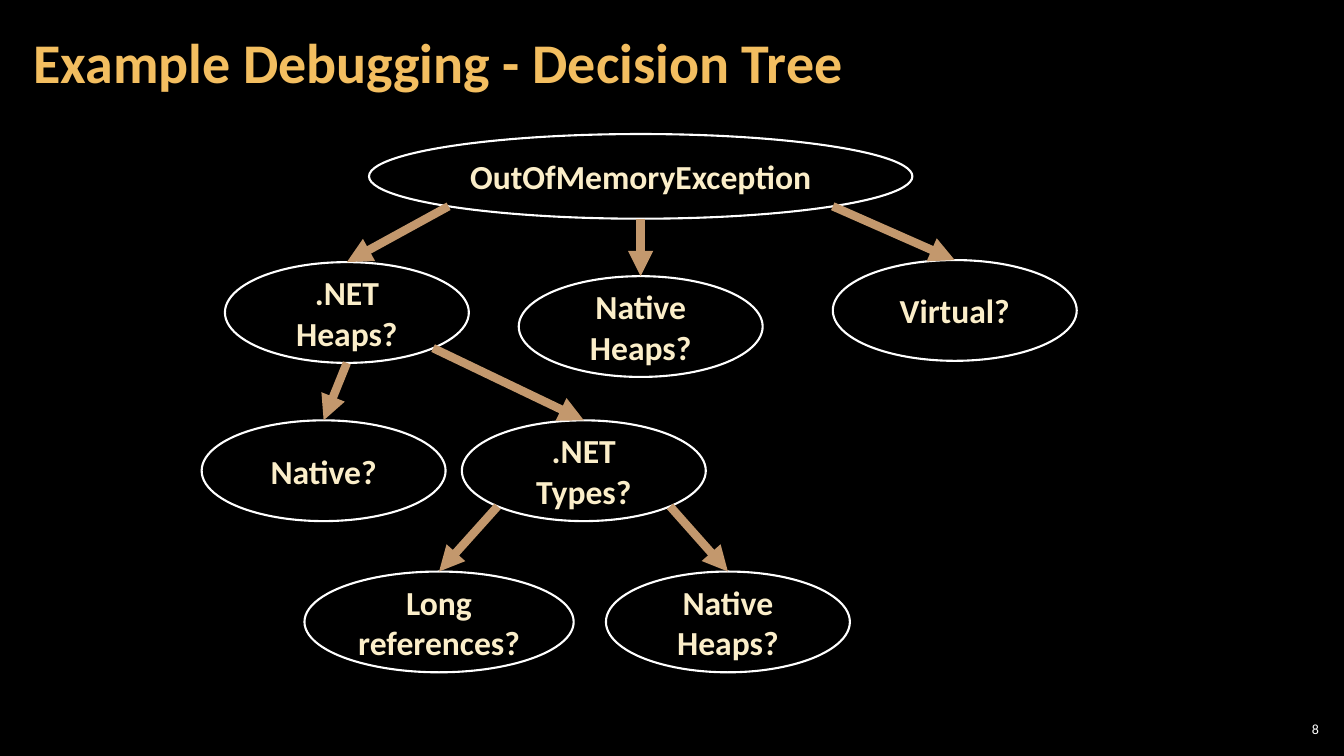
import math
import pptx
import pptx.util
import pptx.dml.color
import pptx.enum.shapes
import pptx.enum.text
import pptx.oxml
import pptx.oxml.ns

BLACK = pptx.dml.color.RGBColor(0x00, 0x00, 0x00)
WHITE = pptx.dml.color.RGBColor(0xFF, 0xFF, 0xFF)
GOLD = pptx.dml.color.RGBColor(0xF3, 0xBE, 0x60)
CREAM = pptx.dml.color.RGBColor(0xFB, 0xEE, 0xC9)
TAN = pptx.dml.color.RGBColor(0xC3, 0x98, 0x6D)
ALIGN = pptx.enum.text.PP_ALIGN

deck = pptx.Presentation()
deck.slide_width = pptx.util.Inches(13.33)
deck.slide_height = pptx.util.Inches(7.5)
across = deck.slide_width / 100
down = deck.slide_height / 100
page = deck.slides.add_slide(deck.slide_layouts[6])
page.background.fill.solid()
page.background.fill.fore_color.rgb = BLACK


def write(shape, text, size, color, bold, align):
    frame = shape.text_frame
    frame.text = text
    frame.word_wrap = True
    frame.vertical_anchor = pptx.enum.text.MSO_ANCHOR.MIDDLE
    para = frame.paragraphs[0]
    para.alignment = align
    font = para.runs[0].font
    font.name = "Calibri"
    font.size = pptx.util.Pt(size)
    font.bold = bold
    font.color.rgb = color


labels = [
    ("8", (94.9, 95.2, 3.53, 2.8), 0.3, 10, WHITE, False, ALIGN.RIGHT),
    ("Example Debugging - Decision Tree", (1.58, 0.53, 78.54, 16.13), 0.9, 40, GOLD, True, ALIGN.LEFT),
]
for text, (left, top, width, height), inset, size, color, bold, align in labels:
    box = page.shapes.add_textbox(
        round(left * across), round(top * down), round(width * across), round(height * down))
    write(box, text, size, color, bold, align)
    frame = box.text_frame
    frame.margin_left = frame.margin_right = round(inset * across)
    frame.margin_top = frame.margin_bottom = round(0.53 * down)
    frame.paragraphs[0].line_spacing = 0.9

NODE_WIDTH, NODE_HEIGHT = 18.15, 13.33
TYPES_ROW, DETAILS_ROW = 55.6, 75.6
nodes = {
    "exception": ("OutOfMemoryException", 47.67, 17.73, 40.43, 11.2),
    "native heaps": ("Native Heaps?", 47.67, 36.53, NODE_WIDTH, NODE_HEIGHT),
    "virtual": ("Virtual?", 71.04, 34.4, NODE_WIDTH, NODE_HEIGHT),
    "net heaps": (".NET Heaps?", 25.81, 34.67, NODE_WIDTH, NODE_HEIGHT),
    "net types": (".NET Types?", 43.44, TYPES_ROW, NODE_WIDTH, NODE_HEIGHT),
    "native": ("Native?", 24.08, TYPES_ROW, NODE_WIDTH, NODE_HEIGHT),
    "type heaps": ("Native Heaps?", 54.16, DETAILS_ROW, NODE_WIDTH, NODE_HEIGHT),
    "references": ("Long references?", 32.67, DETAILS_ROW, 20.03, NODE_HEIGHT),
}
for text, center, top, width, height in nodes.values():
    ellipse = page.shapes.add_shape(
        pptx.enum.shapes.MSO_SHAPE.OVAL,
        round((center - width / 2) * across), round(top * down),
        round(width * across), round(height * down))
    ellipse.shadow.inherit = False
    ellipse.fill.solid()
    ellipse.fill.fore_color.rgb = BLACK
    ellipse.line.color.rgb = WHITE
    ellipse.line.width = pptx.util.Pt(1.5)
    write(ellipse, text, 24, CREAM, True, ALIGN.CENTER)

LEFT, MIDDLE, RIGHT = -45, 0, 45
branches = [
    ("exception", LEFT, "net heaps"),
    ("exception", MIDDLE, "native heaps"),
    ("exception", RIGHT, "virtual"),
    ("net heaps", MIDDLE, "native"),
    ("net heaps", RIGHT, "net types"),
    ("net types", LEFT, "references"),
    ("net types", RIGHT, "type heaps"),
]
for parent, degrees, child in branches:
    center, top, width, height = nodes[parent][1:]
    angle = math.radians(degrees)
    start_x = center + width / 2 * math.sin(angle)
    start_y = top + height / 2 * (1 + math.cos(angle))
    end_x, end_y = nodes[child][1:3]
    arrow = page.shapes.add_connector(
        pptx.enum.shapes.MSO_CONNECTOR.STRAIGHT,
        round(start_x * across), round(start_y * down),
        round(end_x * across), round(end_y * down))
    arrow.line.color.rgb = TAN
    arrow.line.width = pptx.util.Pt(6)
    head = pptx.oxml.parse_xml(
        '<a:tailEnd %s type="triangle"/>' % pptx.oxml.ns.nsdecls("a"))
    arrow.line._get_or_add_ln().append(head)
    effects = pptx.oxml.parse_xml("<a:effectLst %s/>" % pptx.oxml.ns.nsdecls("a"))
    arrow._element.spPr.append(effects)

deck.save("out.pptx")
